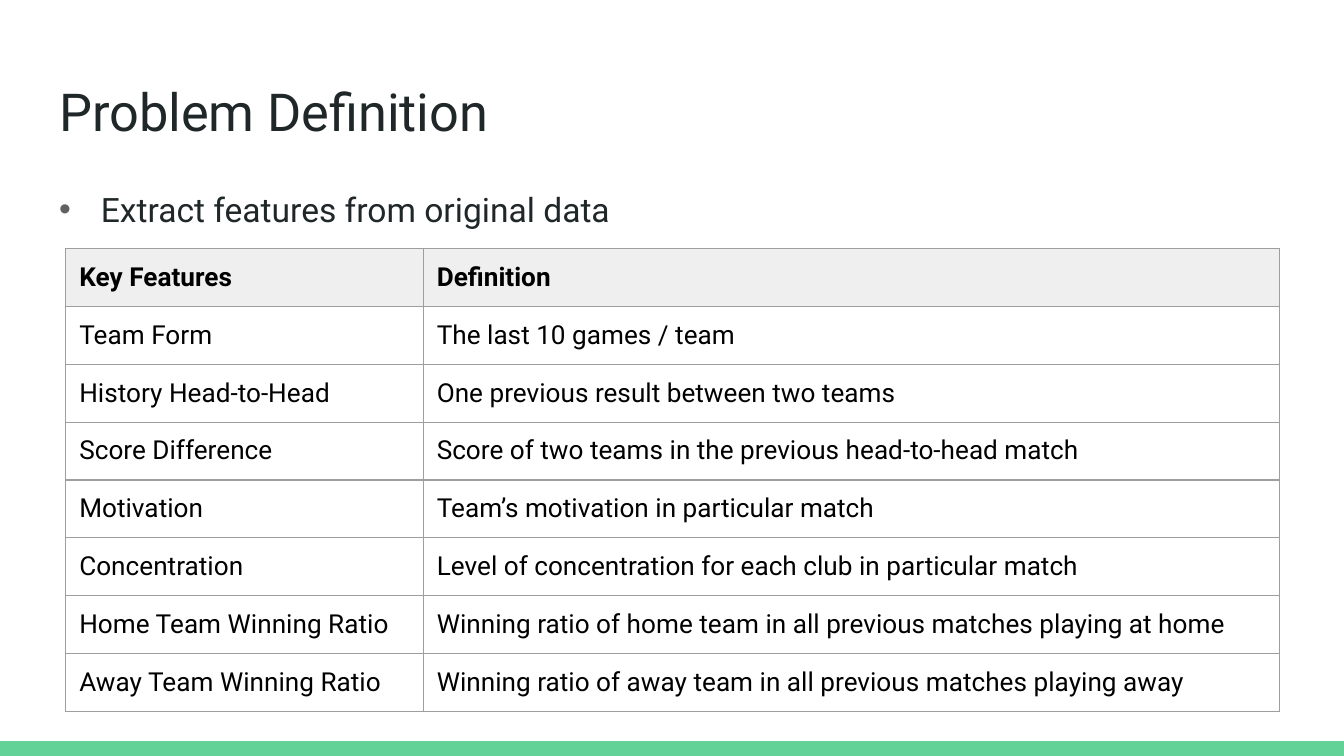
from lxml.etree import SubElement
from pptx import Presentation
from pptx.dml.color import RGBColor
from pptx.enum.shapes import MSO_SHAPE
from pptx.enum.text import MSO_ANCHOR, MSO_AUTO_SIZE, PP_ALIGN
from pptx.oxml.ns import qn
from pptx.util import Inches, Pt

# Content
TITLE = "Problem Definition"
BULLET = "Extract features from original data"
ROWS = [
    ("Key Features", "Definition"),
    ("Team Form", "The last 10 games / team"),
    ("History Head-to-Head", "One previous result between two teams"),
    ("Score Difference", "Score of two teams in the previous head-to-head match"),
    ("Motivation", "Team’s motivation in particular match"),
    ("Concentration", "Level of concentration for each club in particular match"),
    ("Home Team Winning Ratio",
     "Winning ratio of home team in all previous matches playing at home"),
    ("Away Team Winning Ratio",
     "Winning ratio of away team in all previous matches playing away"),
]

# Style
FONT = "Roboto"
DARK, BLACK, GREEN = "202729", "000000", "63D297"
BULLET_GREY, BORDER, HEADER = "616161", "9E9E9E", "EFEFEF"
COL_WIDTHS = (2.66, 6.37)
ROW_HEIGHT = 0.42
MARGIN = Inches(0.1)


def rgb(color):
    return RGBColor.from_string(color)


def format_text(p, size, color, bold=False):
    for r in p.runs:
        r.font.name, r.font.size, r.font.bold = FONT, Pt(size), bold
        r.font.color.rgb = rgb(color)


def fill_placeholder(sp, text, top, height, size):
    sp.left, sp.top, sp.width, sp.height = map(Inches, (0.34, top, 9.32, height))
    tf = sp.text_frame
    tf.text = text
    tf.word_wrap = True
    tf.auto_size = MSO_AUTO_SIZE.NONE
    tf.vertical_anchor = MSO_ANCHOR.TOP
    tf.margin_left = tf.margin_right = tf.margin_top = tf.margin_bottom = MARGIN
    p = tf.paragraphs[0]
    p.alignment = PP_ALIGN.LEFT
    p.space_before = Pt(0)
    format_text(p, size, DARK)
    return p


def add_solid(parent, color):
    fill = SubElement(parent, qn("a:solidFill"))
    SubElement(fill, qn("a:srgbClr"), val=color)


def add_borders(cell):
    tcPr = cell._tc.get_or_add_tcPr()
    for side in ("L", "R", "T", "B"):
        add_solid(SubElement(tcPr, qn(f"a:ln{side}"), w=str(Pt(0.75))), BORDER)


# Widescreen slide, 16:9
prs = Presentation()
prs.slide_width, prs.slide_height = Inches(10), Inches(10 * 9 / 16)
s = prs.slides.add_slide(prs.slide_layouts[1])

# Bottom band
band_height = Inches(0.11)
band = s.shapes.add_shape(MSO_SHAPE.RECTANGLE, 0, prs.slide_height - band_height,
                          prs.slide_width, band_height)
band.shadow.inherit = False
band.fill.solid()
band.fill.fore_color.rgb = rgb(GREEN)
band.line.fill.background()

# Title and bullet
fill_placeholder(s.shapes.title, TITLE, 0.49, 0.63, 28)
p = fill_placeholder(s.placeholders[1], BULLET, 1.26, 0.59, 18)
p.line_spacing, p.space_after = 1.15, Pt(16)
pPr = p._p.get_or_add_pPr()
pPr.set("marL", str(Inches(0.31)))
pPr.set("indent", str(Inches(-0.31)))
SubElement(SubElement(pPr, qn("a:buClr")), qn("a:srgbClr"), val=BULLET_GREY)
SubElement(pPr, qn("a:buChar"), char="•")

# Feature table
table = s.shapes.add_table(
    len(ROWS), len(COL_WIDTHS), Inches(0.49), Inches(1.85),
    Inches(sum(COL_WIDTHS)), Inches(ROW_HEIGHT * len(ROWS))).table
table.horz_banding = False
for column, width in zip(table.columns, COL_WIDTHS):
    column.width = Inches(width)
for i, values in enumerate(ROWS):
    table.rows[i].height = Inches(ROW_HEIGHT)
    for j, value in enumerate(values):
        cell = table.cell(i, j)
        cell.text = value
        cell.margin_left = cell.margin_right = MARGIN
        cell.margin_top = cell.margin_bottom = MARGIN
        format_text(cell.text_frame.paragraphs[0], 14, BLACK, bold=i == 0)
        add_borders(cell)
        if i == 0:
            cell.fill.solid()
            cell.fill.fore_color.rgb = rgb(HEADER)
        else:
            cell.fill.background()

prs.save("out.pptx")
